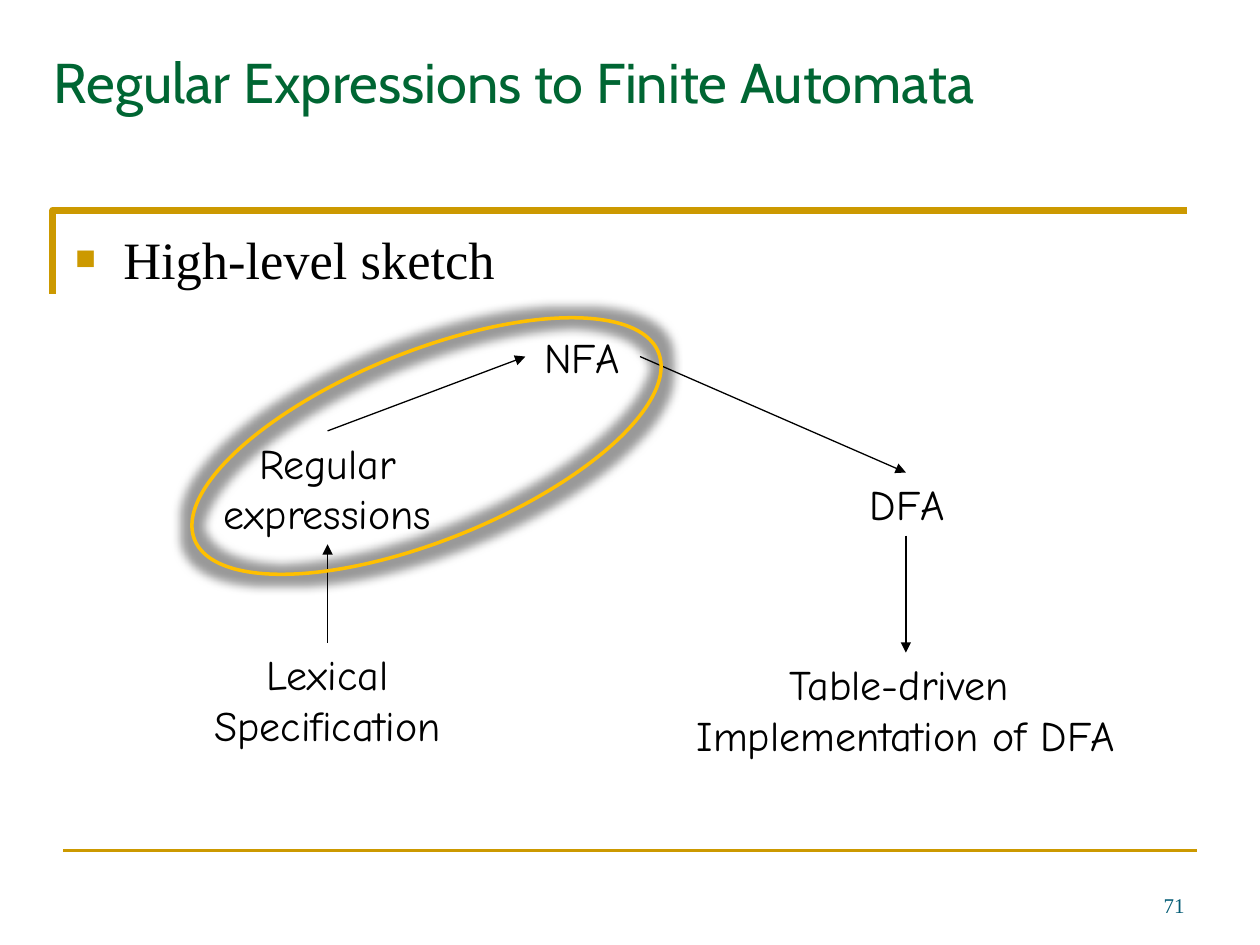
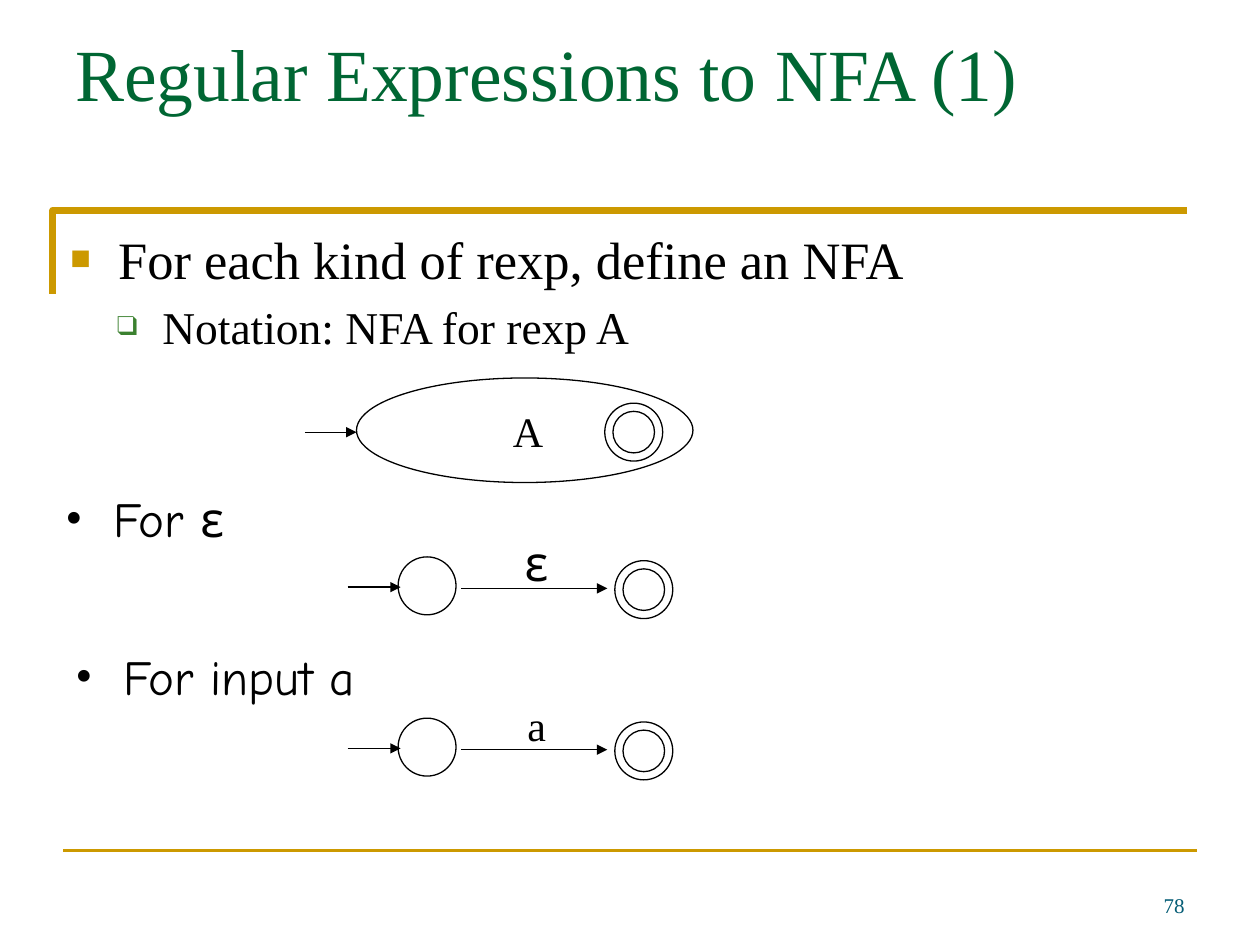
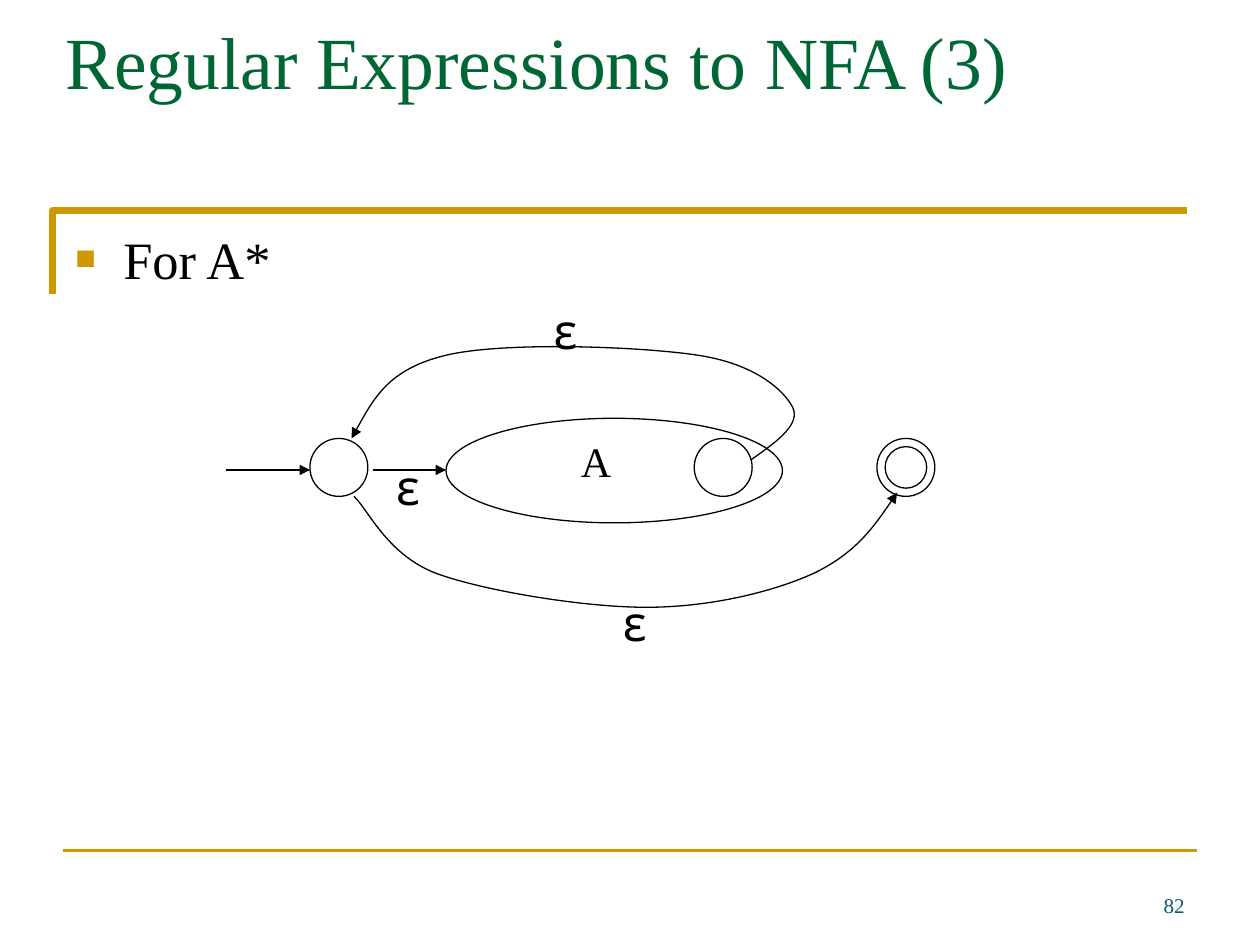
import pptx
import pptx.util
import pptx.dml.color
import pptx.enum.shapes
import pptx.enum.text
import pptx.oxml
import pptx.oxml.ns
from lxml import etree

Inches, Pt = pptx.util.Inches, pptx.util.Pt
ALIGN = pptx.enum.text.PP_ALIGN
ANCHOR = pptx.enum.text.MSO_ANCHOR

BLACK, GOLD, GREEN, TEAL = "000000", "CC9900", "006633", "045C75"
LEAF, AMBER = "3B812F", "FFC000"
SERIF, SANS, HAND = "Times New Roman", "Cabin", "Comic Neue"
STATE, INNER = 0.46, 0.33  # diameters of a state and of its accepting ring

# character, colour, size in percent, left margin, hanging indent
SQUARE = ("■", GOLD, 65, 0.38, 0.38)
BOX = ("❑", LEAF, 60, 0.73, 0.36)
DOT = ("•", BLACK, 100, 0.38, 0.38)


def rgb(color):
    return pptx.dml.color.RGBColor.from_string(color)


def sub(parent, tag, **attrs):
    """Append a DrawingML child element."""
    el = etree.SubElement(parent, pptx.oxml.ns.qn("a:" + tag))
    for name, value in attrs.items():
        el.set(name, str(value))
    return el


def set_line(shape, color=BLACK, width=0.75, arrow=False):
    shape.line.color.rgb = rgb(color)
    shape.line.width = Pt(width)
    if arrow:
        sub(shape.line._get_or_add_ln(), "tailEnd", type="triangle")


def style(p, size, font, color=BLACK, align=ALIGN.LEFT):
    p.alignment = align
    for r in p.runs:
        r.font.size = Pt(size)
        r.font.name = font
        r.font.color.rgb = rgb(color)


def text(s, x, y, w, h, lines, size, font, color=BLACK, align=ALIGN.LEFT,
         wrap=True, anchor=ANCHOR.TOP):
    tf = s.shapes.add_textbox(Inches(x), Inches(y), Inches(w), Inches(h)).text_frame
    tf.word_wrap = wrap
    tf.vertical_anchor = anchor
    tf.text = lines
    for p in tf.paragraphs:
        style(p, size, font, color, align)
    return tf


def label(s, cx, cy, lines, w, h=0.5, size=24, font=HAND):
    """Unwrapped text centred on a point."""
    text(s, cx - w / 2, cy - h / 2, w, h, lines, size, font,
         align=ALIGN.CENTER, wrap=False)


def epsilon(s, cx, cy):
    label(s, cx, cy, "ε", 0.37, 0.57, size=28)


def letter(s, cx, cy, char):
    label(s, cx, cy, char, 0.44, font=SERIF)


def bullets(s, x, y, h, items):
    """Items are (text, size, font, bullet)."""
    tf = text(s, x, y, 9.08, h, "\n".join(item[0] for item in items), 30, SERIF)
    for p, (_, size, font, bullet) in zip(tf.paragraphs, items):
        char, color, percent, margin, hang = bullet
        style(p, size, font)
        p.space_before = Pt(size * 0.2)
        pPr = p._p.get_or_add_pPr()
        pPr.set("marL", str(Inches(margin)))
        pPr.set("indent", str(-Inches(hang)))
        sub(sub(pPr, "buClr"), "srgbClr", val=color)
        sub(pPr, "buSzPct", val=percent * 1000)
        sub(pPr, "buFont", typeface=SERIF)
        sub(pPr, "buChar", char=char)


def line(s, x1, y1, x2, y2, color=BLACK, width=0.75, arrow=True):
    c = s.shapes.add_connector(pptx.enum.shapes.MSO_CONNECTOR.STRAIGHT,
                               Inches(x1), Inches(y1), Inches(x2), Inches(y2))
    set_line(c, color, width, arrow)
    sub(c._element.spPr, "effectLst")


def ellipse(s, x, y, w, h, color=BLACK, width=0.75):
    sp = s.shapes.add_shape(pptx.enum.shapes.MSO_SHAPE.OVAL,
                            Inches(x), Inches(y), Inches(w), Inches(h))
    sp.shadow.inherit = False
    sp.fill.background()
    set_line(sp, color, width)
    return sp


def state(s, x, y, accepting=False):
    ellipse(s, x, y, STATE, STATE)
    if accepting:
        gap = (STATE - INNER) / 2
        ellipse(s, x + gap, y + gap, INNER, INNER)


def machine(s, x, y):
    """Outline of the NFA for a whole expression."""
    ellipse(s, x, y, 2.67, 0.83)


def outline(s, points, color=BLACK, width=0.75, arrow=False):
    emu = [(Inches(x), Inches(y)) for x, y in points]
    fb = s.shapes.build_freeform(*emu[0])
    fb.add_line_segments(emu[1:], close=False)
    sp = fb.convert_to_shape()
    sp.shadow.inherit = False
    sp.fill.background()
    set_line(sp, color, width, arrow)
    return sp


def curved_arrow(s, *points):
    """Arrow along cubic Bezier curves: a start, then two controls and an end each."""
    sp = outline(s, points, arrow=True)
    route = next(sp._element.iter(pptx.oxml.ns.qn("a:moveTo"))).getparent()
    segments = list(route)[1:]
    for i in range(0, len(segments), 3):
        curve = sub(route, "cubicBezTo")
        for segment in segments[i:i + 3]:
            curve.append(segment[0])
            route.remove(segment)


def new_slide(prs, number, title, x, y, size=42, font=SERIF):
    s = prs.slides.add_slide(prs.slide_layouts[6])
    outline(s, [(0.42, 2.33), (0.42, 1.67), (9.42, 1.67)], GOLD, 4)
    line(s, 0.5, 6.75, 9.5, 6.75, GOLD, 2, arrow=False)
    text(s, 7.17, 6.83, 2.33, 0.5, str(number), 12, SERIF, TEAL,
         ALIGN.RIGHT, anchor=ANCHOR.BOTTOM)
    text(s, x, y, 9, 1.25, title, size, font, GREEN)
    return s


def symbol_nfa(s, y):
    """Two states joined by one arrow, with y the top of the start state."""
    line(s, 2.76, y + 0.24, 3.18, y + 0.24)
    state(s, 3.16, y)
    line(s, 3.66, y + 0.25, 4.82, y + 0.25)
    state(s, 4.88, y + 0.03, accepting=True)


def sketch_slide(prs):
    s = new_slide(prs, 71, "Regular Expressions to Finite Automata",
                  0.33, 0.33, 32, SANS)
    bullets(s, 0.5, 1.75, 0.58, [("High-level sketch", 30, SERIF, SQUARE)])
    label(s, 2.6, 3.87, "Regular\nexpressions", 2.03, 0.9)
    label(s, 4.62, 2.83, "NFA", 0.91)
    label(s, 7.2, 4, "DFA", 0.89)
    label(s, 2.6, 5.55, "Lexical\nSpecification", 2.26, 0.9)
    label(s, 7.19, 5.63, "Table-driven \nImplementation of DFA", 3.87, 0.9)
    line(s, 2.6, 5.1, 2.6, 4.32)
    line(s, 2.6, 3.42, 4.17, 2.83)
    line(s, 5.08, 2.83, 7.19, 3.75)
    line(s, 7.19, 4.25, 7.19, 5.18)
    focus = ellipse(s, 1.4, 2.79, 3.97, 1.5, AMBER, 2)
    focus.rotation = 338
    effects = focus._element.spPr.find(pptx.oxml.ns.qn("a:effectLst"))
    glow = sub(effects, "glow", rad=Pt(11))
    sub(sub(glow, "srgbClr", val=BLACK), "alpha", val=40000)


def basic_slide(prs):
    s = new_slide(prs, 78, "Regular Expressions to NFA (1)", 0.5, 0.17)
    bullets(s, 0.46, 1.75, 1.08, [
        ("For each kind of rexp, define an NFA", 30, SERIF, SQUARE),
        ("Notation: NFA for rexp A", 26, SERIF, BOX)])
    machine(s, 2.83, 3)
    letter(s, 4.19, 3.42, "A")
    line(s, 2.42, 3.43, 2.83, 3.43)
    state(s, 4.8, 3.2, accepting=True)

    bullets(s, 0.42, 3.83, 0.67, [("For ε", 28, HAND, DOT)])
    symbol_nfa(s, 4.42)
    epsilon(s, 4.25, 4.46)
    bullets(s, 0.5, 5.08, 0.67, [("For input a", 28, HAND, DOT)])
    symbol_nfa(s, 5.7)
    letter(s, 4.26, 5.75, "a")


def star_slide(prs):
    s = new_slide(prs, 82, "Regular Expressions to NFA (3)", 0.42, 0.08)
    bullets(s, 0.5, 1.75, 0.67, [("For A*", 30, SERIF, SQUARE)])
    machine(s, 3.54, 3.32)
    letter(s, 4.73, 3.66, "A")
    for x in (2.46, 5.51):
        state(s, x, 3.48)
    state(s, 6.96, 3.48, accepting=True)
    line(s, 1.79, 3.73, 2.46, 3.73)
    line(s, 2.96, 3.73, 3.54, 3.73)
    curved_arrow(s, (2.81, 3.94),
                 (2.92, 4.04), (3.07, 4.4), (3.46, 4.55),
                 (3.84, 4.69), (4.63, 4.82), (5.13, 4.82),
                 (5.63, 4.82), (6.13, 4.7), (6.46, 4.55),
                 (6.79, 4.39), (6.96, 4.15), (7.12, 3.91))
    curved_arrow(s, (5.96, 3.65),
                 (6.16, 3.51), (6.36, 3.37), (6.29, 3.23),
                 (6.22, 3.1), (6, 2.89), (5.54, 2.82),
                 (5.08, 2.75), (4, 2.71), (3.54, 2.82),
                 (3.08, 2.93), (2.94, 3.21), (2.79, 3.48))
    for x, y in ((3.23, 3.86), (5.03, 4.94), (4.48, 2.62)):
        epsilon(s, x, y)


def main():
    prs = pptx.Presentation()
    prs.slide_width, prs.slide_height = Inches(10), Inches(7.5)
    sketch_slide(prs)
    basic_slide(prs)
    star_slide(prs)
    prs.save("out.pptx")


if __name__ == "__main__":
    main()
